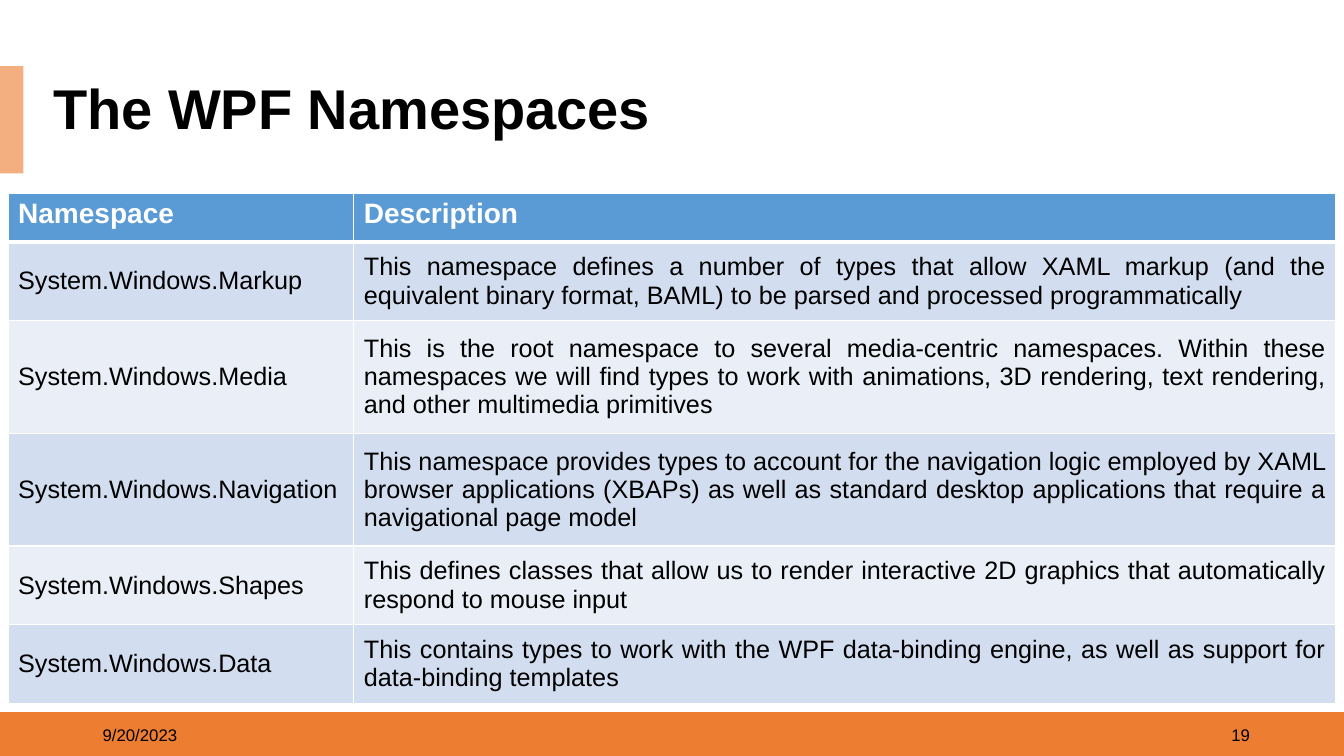
from dataclasses import dataclass
from typing import NamedTuple

from lxml import etree
from pptx import Presentation, util as u
from pptx.dml.color import RGBColor
from pptx.enum import shapes, text
from pptx.oxml import ns


@dataclass(frozen=True)
class Theme:
    font: str = "Arial"
    white: str = "FFFFFF"
    black: str = "000000"
    orange: str = "ED7D31"
    peach: str = "F4AF80"
    header: str = "5B9BD5"
    bands: tuple = ("D2DEEF", "EAEFF7")
    title: int = 40
    heading: int = 20
    body: int = 18
    footer: int = 12
    rule: int = 1
    header_rule: int = 3


class Box(NamedTuple):
    """Left, top, width and height in percent of the slide."""
    left: float
    top: float
    width: float
    height: float


class Bar(NamedTuple):
    box: Box
    color: str


class Label(NamedTuple):
    box: Box
    words: str
    align: text.PP_ALIGN


class Namespace(NamedTuple):
    name: str
    description: str
    lines: int


T = Theme()
LEFT, RIGHT, JUSTIFY = text.PP_ALIGN.LEFT, text.PP_ALIGN.RIGHT, text.PP_ALIGN.JUSTIFY
TOP, MIDDLE = text.MSO_ANCHOR.TOP, text.MSO_ANCHOR.MIDDLE

BARS = [
    Bar(Box(0, 94.2, 100, 5.8), T.orange),
    Bar(Box(0, 8.75, 1.75, 14.2), T.peach),
]
TITLE_BOX = Box(3.2, 10.5, 96.8, 8.4)
FOOTERS = [
    Label(Box(6.9, 94.53, 22.5, 5.33), "9/20/2023", LEFT),
    Label(Box(71.25, 94.53, 22.5, 5.33), "19", RIGHT),
]
TABLE_LEFT, TABLE_TOP = 0.6, 25.6
COLUMNS = (25.73, 73.07)
HEADER_ROW, ROW_PADDING, LINE = 6.4, 1.33, 4.53
HEADINGS = ("Namespace", "Description")
NAMESPACES = [
    Namespace("System.Windows.Markup",
              "This namespace defines a number of types that allow XAML markup (and the "
              "equivalent binary format, BAML) to be parsed and processed programmatically", 2),
    Namespace("System.Windows.Media",
              "This is the root namespace to several media-centric namespaces. Within these "
              "namespaces we will find types to work with animations, 3D rendering, text "
              "rendering, and other multimedia primitives", 3),
    Namespace("System.Windows.Navigation",
              "This namespace provides types to account for the navigation logic employed by "
              "XAML browser applications (XBAPs) as well as standard desktop applications that "
              "require a navigational page model", 3),
    Namespace("System.Windows.Shapes",
              "This defines classes that allow us to render interactive 2D graphics that "
              "automatically respond to mouse input", 2),
    Namespace("System.Windows.Data",
              "This contains types to work with the WPF data-binding engine, as well as support "
              "for data-binding templates", 2),
]

prs = Presentation()
prs.slide_width, prs.slide_height = u.Inches(13.33), u.Inches(7.5)


def across(percent: float) -> int:
    return round(prs.slide_width * percent / 100)


def down(percent: float) -> int:
    return round(prs.slide_height * percent / 100)


def place(box: Box) -> tuple:
    return across(box.left), down(box.top), across(box.width), down(box.height)


def write(tf, words: str, size: int, color: str, bold: bool = False, align=LEFT):
    p = tf.paragraphs[0]
    p.alignment = align
    r = p.add_run()
    r.text = words
    r.font.name, r.font.size, r.font.bold = T.font, u.Pt(size), bold
    r.font.color.rgb = RGBColor.from_string(color)
    return p


def draw_bar(s, bar: Bar) -> None:
    sp = s.shapes.add_shape(shapes.MSO_SHAPE.RECTANGLE, *place(bar.box))
    sp.shadow.inherit = False
    sp.fill.solid()
    sp.fill.fore_color.rgb = RGBColor.from_string(bar.color)
    sp.line.fill.background()


def draw_label(s, label: Label) -> None:
    tf = s.shapes.add_textbox(*place(label.box)).text_frame
    tf.word_wrap = True
    tf.vertical_anchor = MIDDLE
    write(tf, label.words, T.footer, T.black, align=label.align)


def draw_title(s, words: str) -> None:
    sp = s.shapes.title
    sp.left, sp.top, sp.width, sp.height = place(TITLE_BOX)
    sp.fill.solid()
    sp.fill.fore_color.rgb = RGBColor.from_string(T.white)
    tf = sp.text_frame
    tf.auto_size = text.MSO_AUTO_SIZE.NONE
    tf.vertical_anchor = MIDDLE
    write(tf, words, T.title, T.black, bold=True).line_spacing = 0.9


def set_borders(cell, top: int, bottom: int) -> None:
    tc_pr = cell._tc.get_or_add_tcPr()
    sides = (("L", T.rule), ("R", T.rule), ("T", top), ("B", bottom))
    for i, (side, width) in enumerate(sides):
        ln = etree.Element(ns.qn(f"a:ln{side}"), w=str(u.Pt(width)))
        fill = etree.SubElement(ln, ns.qn("a:solidFill"))
        etree.SubElement(fill, ns.qn("a:srgbClr"), val=T.white)
        tc_pr.insert(i, ln)


def draw_table(s) -> None:
    heights = [HEADER_ROW] + [ROW_PADDING + LINE * n.lines for n in NAMESPACES]
    box = Box(TABLE_LEFT, TABLE_TOP, sum(COLUMNS), sum(heights))
    table = s.shapes.add_table(len(heights), len(COLUMNS), *place(box)).table
    for column, width in zip(table.columns, COLUMNS):
        column.width = across(width)

    rows = [HEADINGS] + [(n.name, n.description) for n in NAMESPACES]
    for i, (words, height) in enumerate(zip(rows, heights)):
        table.rows[i].height = down(height)
        is_header = i == 0
        for j, entry in enumerate(words):
            cell = table.cell(i, j)
            cell.fill.solid()
            color = T.header if is_header else T.bands[(i - 1) % 2]
            cell.fill.fore_color.rgb = RGBColor.from_string(color)
            cell.vertical_anchor = TOP if is_header else MIDDLE
            set_borders(cell, top=T.header_rule if i == 1 else T.rule,
                        bottom=T.header_rule if is_header else T.rule)
            if is_header:
                write(cell.text_frame, entry, T.heading, T.white, bold=True)
            else:
                write(cell.text_frame, entry, T.body, T.black,
                      align=JUSTIFY if j == 1 else LEFT)


def main() -> None:
    s = prs.slides.add_slide(prs.slide_layouts[5])
    # Coloured bars and footer
    for bar in BARS:
        draw_bar(s, bar)
    for label in FOOTERS:
        draw_label(s, label)
    # Title and table
    draw_title(s, "The WPF Namespaces")
    draw_table(s)
    prs.save("out.pptx")


if __name__ == "__main__":
    main()
